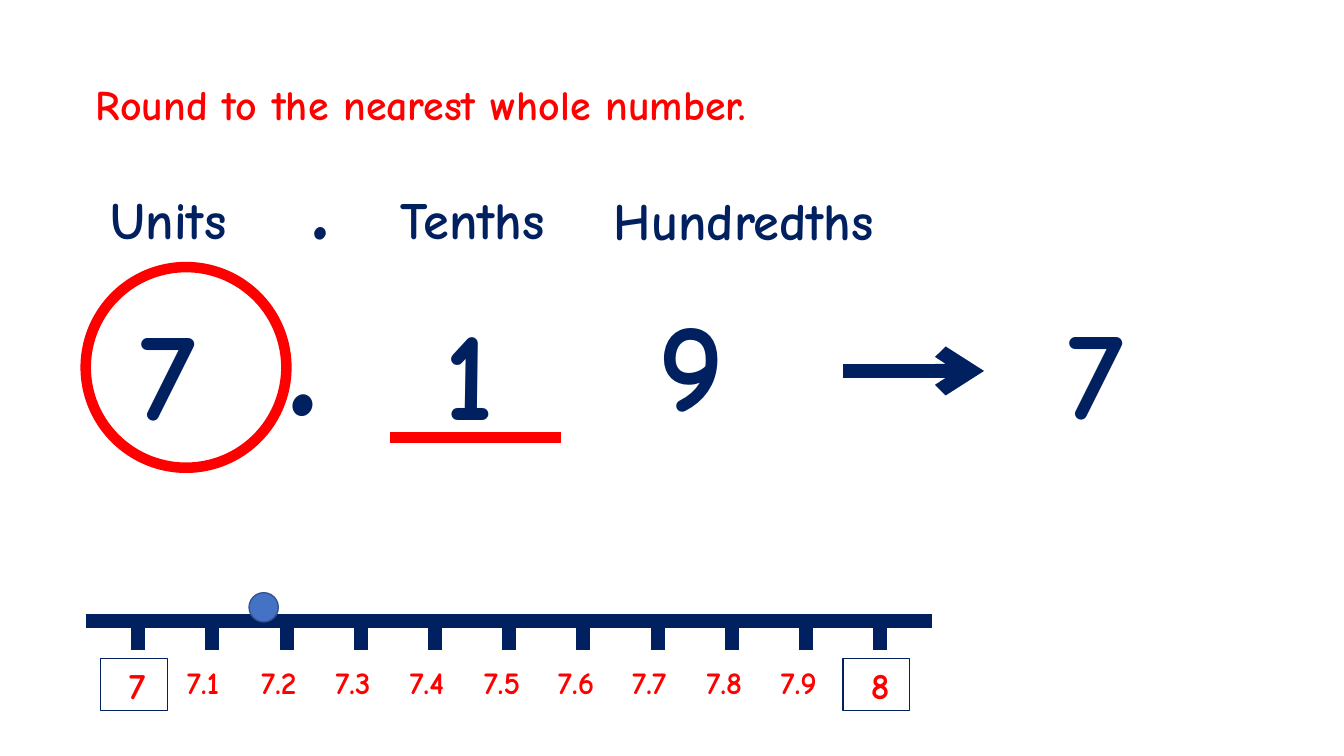
from dataclasses import dataclass

from lxml.etree import SubElement
from pptx import Presentation
from pptx.dml.color import RGBColor
from pptx.enum.shapes import MSO_CONNECTOR, MSO_SHAPE
from pptx.enum.text import MSO_ANCHOR, MSO_AUTO_SIZE, PP_ALIGN
from pptx.oxml.ns import qn
from pptx.util import Inches, Pt


@dataclass(frozen=True)
class Theme:
    font: str = "Comic Neue"
    navy: RGBColor = RGBColor(0x00, 0x20, 0x60)
    red: RGBColor = RGBColor(0xFF, 0x00, 0x00)
    marker_fill: RGBColor = RGBColor(0x44, 0x72, 0xC4)
    marker_line: RGBColor = RGBColor(0x32, 0x54, 0x91)
    title: float = 29.9
    heading: float = 37.4
    heading_point: float = 74.8
    digit: float = 89.7
    digit_point: float = 129
    end_label: float = 26.2
    tick_label: float = 22.4
    thin_line: float = 1
    accent_line: float = 7.5
    thick_line: float = 10


THEME = Theme()


@dataclass(frozen=True)
class Box:
    left: float
    top: float
    width: float
    height: float

    def inside(self, x, y, width, height):
        return Box(self.left + x, self.top + y, width, height)

    def lengths(self):
        return [Inches(v) for v in (self.left, self.top, self.width, self.height)]


def write_text(shape, text, size, color):
    frame = shape.text_frame
    frame.word_wrap = True
    frame.auto_size = MSO_AUTO_SIZE.NONE
    frame.vertical_anchor = MSO_ANCHOR.TOP
    paragraph = frame.paragraphs[0]
    paragraph.alignment = PP_ALIGN.LEFT
    run = paragraph.add_run()
    run.text = text
    run.font.name = THEME.font
    run.font.size = Pt(size)
    run.font.bold = True
    run.font.color.rgb = color


def add_text(slide, box, text, size, color):
    write_text(slide.shapes.add_textbox(*box.lengths()), text, size, color)


def add_outline(slide, kind, box, color, width, fill=None):
    shape = slide.shapes.add_shape(kind, *box.lengths())
    shape.shadow.inherit = False
    if fill is None:
        shape.fill.background()
    else:
        shape.fill.solid()
        shape.fill.fore_color.rgb = fill
    shape.line.color.rgb = color
    shape.line.width = Pt(width)


def add_line(slide, start, end, color, width, arrow=False):
    ends = [Inches(v) for v in (*start, *end)]
    line = slide.shapes.add_connector(MSO_CONNECTOR.STRAIGHT, *ends)
    line.line.color.rgb = color
    line.line.width = Pt(width)
    if arrow:
        SubElement(line.line._get_or_add_ln(), qn("a:tailEnd"), type="arrow")
    SubElement(line._element.spPr, qn("a:effectLst"))


def add_title(slide, box):
    title = slide.shapes.title
    title.left, title.top, title.width, title.height = box.lengths()
    write_text(title, "Round to the nearest whole number.", THEME.title, THEME.red)


def add_place_headings(slide, box):
    for text, x, y, width in (
        ("Units", 0.15, 0, 1.51),
        ("Tenths", 3.02, 0, 1.94),
        ("Hundredths", 5.14, 0.01, 3.12),
    ):
        add_text(slide, box.inside(x, y, width, 0.73), text, THEME.heading, THEME.navy)
    add_text(slide, box.inside(2.14, -0.52, 0.66, 1.36), ".", THEME.heading_point, THEME.navy)


def add_rounding(slide, box):
    # Digits and decimal point
    for text, x, y in (("7", 0.44, 0.23), ("1", 3.46, 0.23),
                       ("9", 5.58, 0.14), ("7", 9.64, 0.22)):
        add_text(slide, box.inside(x, y, 0.97, 1.61), text, THEME.digit, THEME.navy)
    add_text(slide, box.inside(1.9, -0.37, 0.99, 2.27), ".", THEME.digit_point, THEME.navy)

    # Circled units, underlined tenths, arrow to the answer
    add_outline(slide, MSO_SHAPE.OVAL, box.inside(0, 0, 1.99, 1.99),
                THEME.red, THEME.accent_line)
    underline_y, arrow_y = box.top + 1.69, box.top + 1.03
    add_line(slide, (box.left + 3.02, underline_y), (box.left + 4.71, underline_y),
             THEME.red, THEME.accent_line)
    add_line(slide, (box.left + 7.51, arrow_y), (box.left + 8.91, arrow_y),
             THEME.navy, THEME.thick_line, arrow=True)


def add_number_line(slide, box):
    first_tick, tick_gap, intervals = 0.52, 0.736, 10
    axis_y, label_y = 0.28, 0.65

    # Axis
    y = box.top + axis_y
    add_line(slide, (box.left, y), (box.left + box.width, y), THEME.navy, THEME.thick_line)

    # Ticks and labels, with the two whole numbers boxed
    for index in range(intervals + 1):
        tick = first_tick + index * tick_gap
        x = box.left + tick
        add_line(slide, (x, y), (x, y + 0.29), THEME.navy, THEME.thick_line)
        if index in (0, intervals):
            add_text(slide, box.inside(tick - 0.19, label_y, 0.43, 0.54),
                     str(7 + index // intervals), THEME.end_label, THEME.red)
            add_outline(slide, MSO_SHAPE.RECTANGLE,
                        box.inside(tick - 0.37, label_y, 0.66, 0.52),
                        THEME.navy, THEME.thin_line)
        else:
            add_text(slide, box.inside(tick - 0.35, label_y, 0.72, 0.48),
                     f"7.{index}", THEME.tick_label, THEME.red)

    # Marker for the number being rounded
    add_outline(slide, MSO_SHAPE.OVAL, box.inside(1.62, 0, 0.29, 0.29),
                THEME.marker_line, THEME.thin_line, THEME.marker_fill)


def main():
    presentation = Presentation()
    presentation.slide_width = Inches(13.33)
    presentation.slide_height = Inches(7.5)
    slide = presentation.slides.add_slide(presentation.slide_layouts[5])
    add_title(slide, Box(0.85, 0.73, 7.82, 0.6))
    add_place_headings(slide, Box(0.85, 1.81, 8.26, 0.74))
    add_rounding(slide, Box(0.85, 2.65, 10.61, 1.99))
    add_number_line(slide, Box(0.85, 5.88, 8.39, 1.19))
    presentation.save("out.pptx")


if __name__ == "__main__":
    main()
